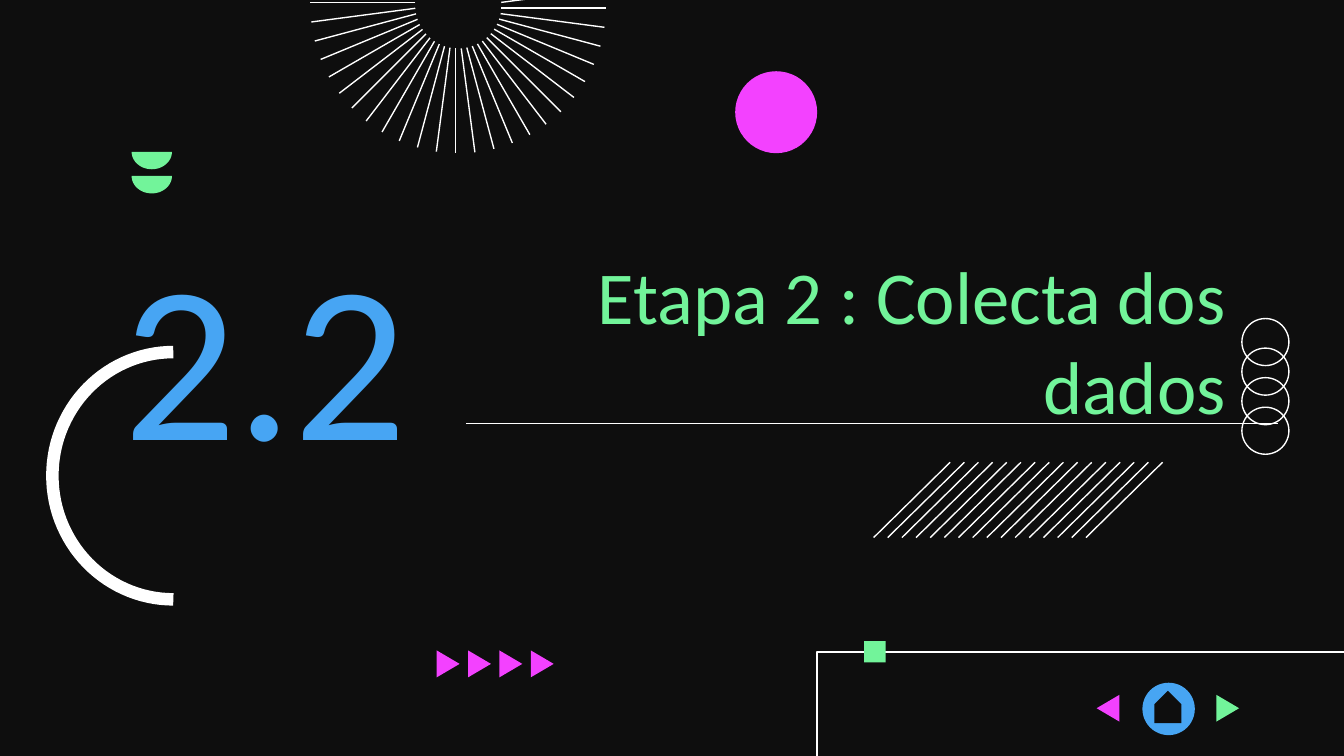
import math
from dataclasses import dataclass

import pptx
import pptx.dml.color
import pptx.enum.shapes
import pptx.enum.text
import pptx.oxml
import pptx.util

Inches = pptx.util.Inches
Pt = pptx.util.Pt
RGB = pptx.dml.color.RGBColor.from_string
SHAPE = pptx.enum.shapes.MSO_SHAPE
ALIGN = pptx.enum.text.PP_ALIGN


@dataclass(frozen=True)
class Theme:
    dark: RGB = RGB("0E0E0E")
    white: RGB = RGB("FFFFFF")
    green: RGB = RGB("72F49A")
    pink: RGB = RGB("F341FF")
    blue: RGB = RGB("47A5F3")
    font: str = "Calibri"
    title_size: Pt = Pt(40)
    number_size: Pt = Pt(120)
    thin: Pt = Pt(0.75)
    thick: Pt = Pt(6.69)


theme = Theme()
slide_width = 10
slide_height = slide_width * 9 / 16
prs = pptx.Presentation()
prs.slide_width, prs.slide_height = Inches(slide_width), Inches(slide_height)
slide = prs.slides.add_slide(prs.slide_layouts[5])
slide.background.fill.solid()
slide.background.fill.fore_color.rgb = theme.dark
shapes = slide.shapes


def paint(shape, fill=None, line_width=None):
    """Give a shape a flat fill, or none, and a white line where a width is set."""
    shape.shadow.inherit = False
    if fill is None:
        shape.fill.background()
    else:
        shape.fill.solid()
        shape.fill.fore_color.rgb = fill
    if line_width is None:
        shape.line.fill.background()
    else:
        shape.line.color.rgb = theme.white
        shape.line.width = line_width


def outline(points, fill=None, line_width=None):
    """Draw a closed shape if it is filled, otherwise an open line."""
    corners = [(Inches(x), Inches(y)) for x, y in points]
    builder = shapes.build_freeform(*corners[0])
    builder.add_line_segments(corners[1:], close=fill is not None)
    paint(builder.convert_to_shape(), fill, line_width)


# Column of overlapping rings and the pink disc
for row in range(4):
    ring = shapes.add_shape(SHAPE.OVAL, Inches(9.24), Inches(2.37 + 0.22 * row),
                            Inches(0.35), Inches(0.35))
    paint(ring, line_width=theme.thin)
disc = shapes.add_shape(SHAPE.OVAL, Inches(5.47), Inches(0.53), Inches(0.61), Inches(0.61))
paint(disc, theme.pink)

# Corner frame with its square marker
outline([(slide_width, 4.85), (6.08, 4.85), (6.08, slide_height)], line_width=theme.thin)
marker = shapes.add_shape(SHAPE.RECTANGLE, Inches(6.43), Inches(4.77), Inches(0.16), Inches(0.16))
paint(marker, theme.green)

# Triangles: row of four, then the back and forward buttons
triangles = [(3.25 + 0.7 / 3 * i, 4.84, 0.17, theme.pink) for i in range(4)]
triangles += [(8.33, 5.17, -0.17, theme.pink), (9.05, 5.17, 0.17, theme.green)]
for base, top, reach, color in triangles:
    outline([(base, top), (base + reach, top + 0.1), (base, top + 0.2)], color)

# Half discs
for top in (1.31, 1.13):
    angles = [math.radians(5 * step) for step in range(37)]
    outline([(1.13 + 0.15 * math.cos(a), top + 0.13 * math.sin(a)) for a in angles], theme.green)

# Headings
title = shapes.title
title.left, title.top, title.width, title.height = map(Inches, (3.13, 1.86, 6.09, 1.49))
number = shapes.add_textbox(Inches(0.39), Inches(1.61), Inches(3.17), Inches(1.54))
headings = [
    (title, "Etapa 2 : Colecta dos dados", ALIGN.RIGHT, theme.title_size, theme.green),
    (number, "2.2", ALIGN.CENTER, theme.number_size, theme.blue),
]
for heading, wording, align, size, color in headings:
    frame = heading.text_frame
    frame.word_wrap = True
    frame.auto_size = pptx.enum.text.MSO_AUTO_SIZE.NONE
    frame.vertical_anchor = pptx.enum.text.MSO_ANCHOR.TOP
    frame.margin_left = frame.margin_right = frame.margin_bottom = Inches(0.1)
    frame.margin_top = 0
    paragraph = frame.paragraphs[0]
    paragraph.text = wording
    paragraph.alignment = align
    paragraph.font.name = theme.font
    paragraph.font.size = size
    paragraph.font.color.rgb = color

# Rule under the title, slanted hatching, and sunburst rays every 7.5 degrees
strokes = [(3.47, 3.15, 9.51, 3.15)]
for i in range(16):
    foot = 6.5 + 1.58 / 15 * i
    strokes.append((foot, 4, foot + 0.57, 3.44))
for step in range(-1, 25):
    cos, sin = math.cos(math.radians(7.5 * step)), math.sin(math.radians(7.5 * step))
    start_x, start_y = 3.41 - 0.02 * sin, 0.04 + 0.02 * cos
    strokes.append((start_x + 0.32 * cos, start_y + 0.32 * sin,
                    start_x + 1.1 * cos, start_y + 1.1 * sin))
for ends in strokes:
    stroke = shapes.add_connector(pptx.enum.shapes.MSO_CONNECTOR.STRAIGHT, *map(Inches, ends))
    stroke.line.color.rgb = theme.white
    stroke.line.width = theme.thin
    stroke.element.spPr.append(pptx.oxml.parse_xml(
        '<a:effectLst xmlns:a="http://schemas.openxmlformats.org/drawingml/2006/main"/>'))

# Thick half ring over the number
angles = [math.radians(angle) for angle in range(270, 89, -3)]
outline([(1.29 + 0.9 * math.cos(a), 3.54 + 0.92 * math.sin(a)) for a in angles],
        line_width=theme.thick)

# Home button
home_disc = shapes.add_shape(SHAPE.OVAL, Inches(8.5), Inches(5.08), Inches(0.39), Inches(0.39))
paint(home_disc, theme.blue)
house = shapes.add_shape(SHAPE.PENTAGON, Inches(8.57), Inches(5.16), Inches(0.24), Inches(0.2))
house.rotation = 270
paint(house, theme.dark)

prs.save("out.pptx")
